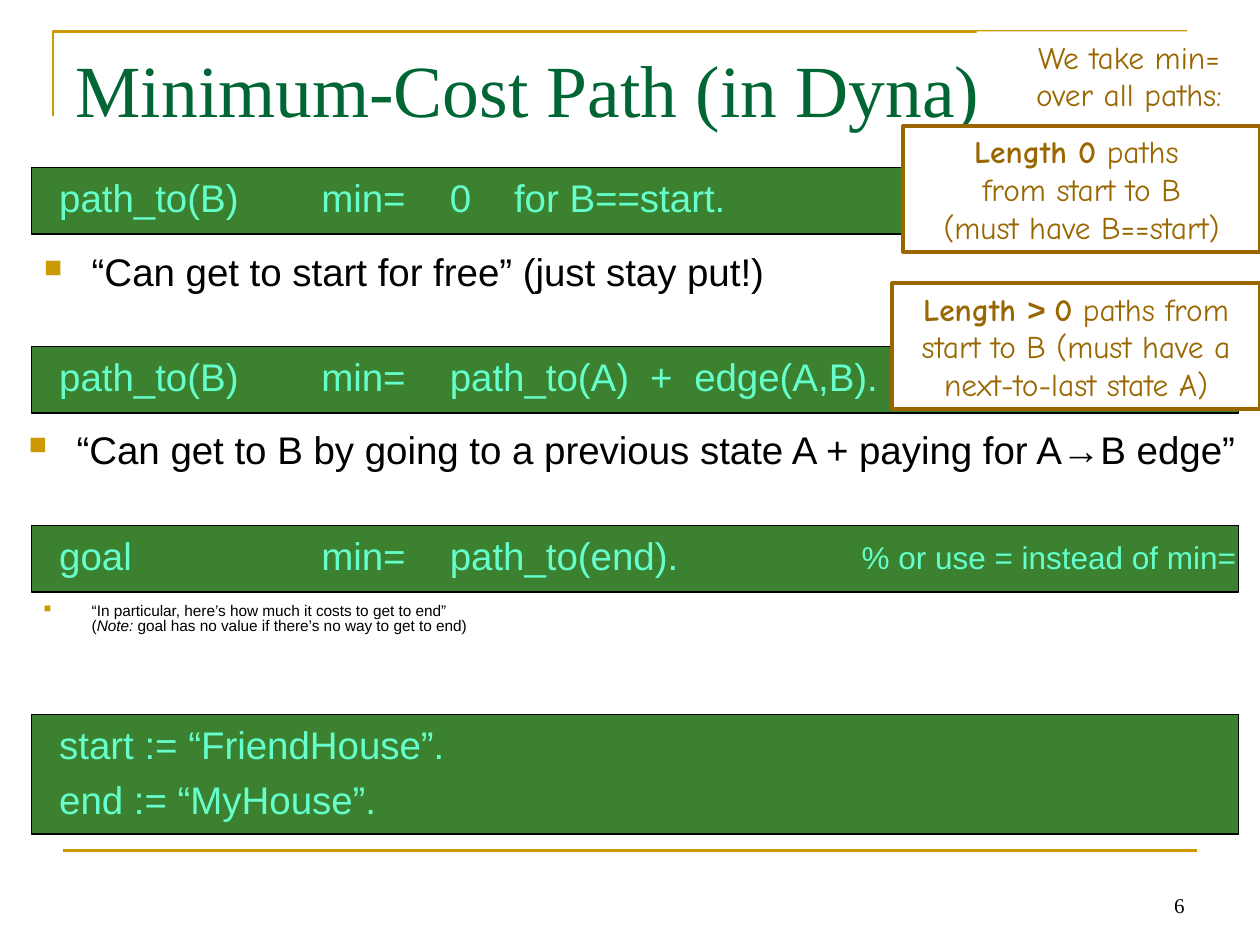
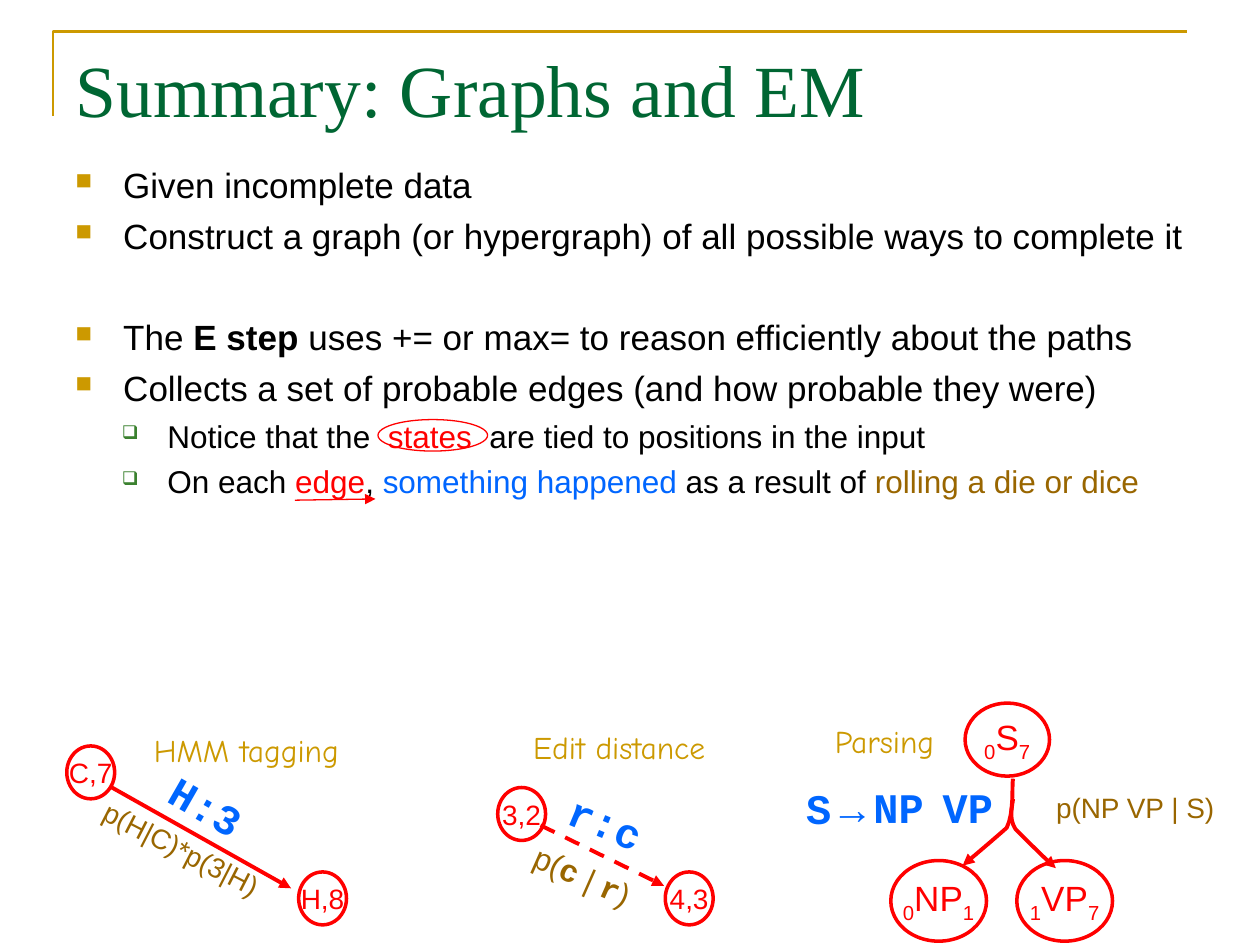
import pptx
import pptx.dml.color
import pptx.enum.dml
import pptx.enum.shapes
import pptx.enum.text
import pptx.oxml
import pptx.oxml.ns
import pptx.util
from lxml import etree

Inches = pptx.util.Inches
Pt = pptx.util.Pt
qn = pptx.oxml.ns.qn
SHAPE = pptx.enum.shapes.MSO_SHAPE
ALIGN = pptx.enum.text.PP_ALIGN
ANCHOR = pptx.enum.text.MSO_ANCHOR

GOLD, BROWN, GREEN, MINT = "CC9900", "996600", "3B812F", "66FFCC"
RED, BLUE, BLACK, WHITE = "FF0000", "0066FF", "000000", "FFFFFF"
HAND, MONO = "Comic Neue", "Courier New"


def paint(sp, fill=None, line=None, width=1, arrow=False, dash=False):
    if hasattr(sp, "fill"):
        sp.shadow.inherit = False
        if fill:
            sp.fill.solid()
            sp.fill.fore_color.rgb = pptx.dml.color.RGBColor.from_string(fill)
        else:
            sp.fill.background()
    else:
        etree.SubElement(sp._element.spPr, qn("a:effectLst"))
    if not line:
        sp.line.fill.background()
        return sp
    sp.line.color.rgb = pptx.dml.color.RGBColor.from_string(line)
    sp.line.width = Pt(width)
    if dash:
        sp.line.dash_style = pptx.enum.dml.MSO_LINE.DASH
    if arrow:
        etree.SubElement(sp.line._get_or_add_ln(), qn("a:tailEnd"), type="triangle")
    return sp


def write(sp, text, size=18, font="Arial", color=BLACK, bold=False, align=ALIGN.LEFT,
          anchor=ANCHOR.TOP, left=0.1, wrap=True, before=0, spacing=None,
          bullet=None, indent=(0.38, -0.38), tabs=()):
    tf = sp.text_frame
    tf.word_wrap = wrap
    tf.vertical_anchor = anchor
    tf.margin_left, tf.margin_right = Inches(left), Inches(min(left, 0.1))
    tf.margin_top = tf.margin_bottom = Inches(0.05)
    first = not tf.text
    p = tf.paragraphs[0] if first else tf.add_paragraph()
    p.alignment = align
    p.space_before = Pt(0 if first else before)
    if spacing:
        p.line_spacing = spacing
    pPr = p._p.get_or_add_pPr()
    if bullet:
        char, tint, percent = bullet
        pPr.set("marL", str(Inches(indent[0])))
        pPr.set("indent", str(Inches(indent[1])))
        etree.SubElement(etree.SubElement(pPr, qn("a:buClr")), qn("a:srgbClr"), val=tint)
        etree.SubElement(pPr, qn("a:buSzPct"), val=str(percent * 1000))
        etree.SubElement(pPr, qn("a:buChar"), char=char)
    if tabs:
        stops = etree.SubElement(pPr, qn("a:tabLst"))
        for stop in tabs:
            etree.SubElement(stops, qn("a:tab"), pos=str(Inches(stop)), algn="l")
    for words, extra in [(text, {})] if isinstance(text, str) else text:
        for i, part in enumerate(words.split("\n")):
            if i:
                p.add_line_break()
            r = p.add_run()
            r.text = part
            r.font.size = Pt(extra.get("size", size))
            r.font.name = extra.get("font", font)
            r.font.bold = extra.get("bold", bold)
            r.font.italic = extra.get("italic", False)
            r.font.color.rgb = pptx.dml.color.RGBColor.from_string(extra.get("color", color))
            for name in ("baseline", "spc"):
                if name in extra:
                    r._r.get_or_add_rPr().set(name, str(extra[name]))
    return sp


prs = pptx.Presentation()
prs.slide_width, prs.slide_height = Inches(10), Inches(7.5)
straight = pptx.enum.shapes.MSO_CONNECTOR.STRAIGHT
square = ("■", GOLD, 65)
hollow = ("❑", GREEN, 60)

for title in ("Minimum-Cost Path (in Dyna)", "Summary: Graphs and EM"):
    s = prs.slides.add_slide(prs.slide_layouts[5])
    t = s.shapes.title
    t.left, t.top, t.width, t.height = [Inches(v) for v in (0.5, 0.3, 9, 1.25)]
    write(t, title, size=42, font="Times New Roman", color="006633")
    corner = s.shapes.build_freeform(Inches(0.42), Inches(0.92), 1.0)
    corner.add_line_segments([(Inches(0.42), Inches(0.25)), (Inches(9.42), Inches(0.25))], close=False)
    paint(corner.convert_to_shape(), line=GOLD, width=1.5)

s = prs.slides[0]
paint(s.shapes.add_connector(straight, Inches(0.5), Inches(6.75), Inches(9.5), Inches(6.75)),
      line=GOLD, width=1.5)

rules = [
    (1.33, 0.53, ["path_to(B)\tmin=\t0\tfor B==start."], (2.08, 3.1, 3.61)),
    (2.75, 0.53, ["path_to(B)\tmin=\tpath_to(A)\t+\tedge(A,B)."], (2.08, 3.1, 4.69, 5.04)),
    (4.17, 0.53, ["goal\tmin=\tpath_to(end)."], (2.08, 3.1)),
    (5.67, 0.95, ["start := “FriendHouse”.", "end := “MyHouse”."], ()),
]
for y, h, lines, tabs in rules:
    sp = s.shapes.add_shape(SHAPE.RECTANGLE, Inches(0.25), Inches(y), Inches(9.58), Inches(h))
    paint(sp, GREEN, BLACK)
    for line in lines:
        write(sp, line, size=22, color=MINT, left=0.22, before=5.5, tabs=tabs)

notes = [
    (0.25, 1.92, 22, None, "“Can get to start for free” (just stay put!)"),
    (0.13, 3.33, 22, None, "“Can get to B by going to a previous state A + paying for A→B edge”"),
    (0.25, 4.75, 8.8, 0.8, [("“In particular, here’s how much it costs to get to end”\n(", {}),
                            ("Note: ", {"italic": True}),
                            ("goal has no value if there’s no way to get to end)", {})]),
]
for x, y, size, spacing, text in notes:
    sp = s.shapes.add_textbox(Inches(x), Inches(y), Inches(9.87), Inches(0.6))
    write(sp, text, size=size, spacing=spacing, bullet=square)

sp = s.shapes.add_textbox(Inches(6.74), Inches(4.22), Inches(3.17), Inches(0.4))
write(sp, "% or use = instead of min=", color=MINT, align=ALIGN.CENTER, left=0, wrap=False)
sp = s.shapes.add_textbox(Inches(7.17), Inches(6.83), Inches(2.33), Inches(0.5))
write(sp, "6", size=12, font="Times New Roman", align=ALIGN.RIGHT, anchor=ANCHOR.BOTTOM)

strong = {"bold": True}
callouts = [
    (7.17, 1, 2.83, 1, BROWN, [("Length 0", strong),
                               (" paths \nfrom start to B\n(must have B==start)", {})]),
    (7.08, 2.25, 2.92, 1, BROWN, [("Length ", strong), ("> ", {"bold": True, "font": "Arial"}),
                                  ("0", strong),
                                  (" paths from start to B (must have a next-to-last state A)", {})]),
    (7.75, 0.25, 2.42, 0.7, None, "We take min=\nover all paths:"),
]
for x, y, w, h, line, text in callouts:
    sp = s.shapes.add_shape(SHAPE.RECTANGLE, Inches(x), Inches(y), Inches(w), Inches(h))
    paint(sp, WHITE, line, 2.25)
    write(sp, text, font=HAND, color=BROWN, align=ALIGN.CENTER)

s = prs.slides[1]
body = s.shapes.add_textbox(Inches(0.5), Inches(1.25), Inches(9.2), Inches(3))
points = [
    (5, "Given incomplete data"),
    (5, "Construct a graph (or hypergraph) of all possible ways to complete it"),
    (34, [("The ", {}), ("E step", strong),
          (" uses += or max= to reason efficiently about the paths", {})]),
    (5, "Collects a set of probable edges (and how probable they were)"),
]
for before, text in points:
    write(body, text, size=20, before=before, bullet=square)
red = {"color": RED}
wide = {"spc": 500}
details = [
    [("Notice that the", {}), (" ", wide), ("states", red), (" ", wide),
     ("are tied to positions in the input", {})],
    [("On each ", {}), ("edge", red), (", ", {}), ("something happened", {"color": BLUE}),
     (" as a result of ", {}), ("rolling a die or dice", {"color": BROWN})],
]
for text in details:
    write(body, text, before=4.5, bullet=hollow, indent=(0.73, -0.36))

paint(s.shapes.add_shape(SHAPE.OVAL, Inches(3), Inches(3.33), Inches(0.87), Inches(0.25)),
      line=RED, width=0.75)
arrows = [
    (2.34, 3.97, 2.98, 3.96, 0.75, False),
    (0.87, 6.24, 2.31, 7.05, 2.25, False),
    (4.29, 6.55, 5.27, 7.03, 2.25, True),
]
for x1, y1, x2, y2, width, dash in arrows:
    c = s.shapes.add_connector(straight, Inches(x1), Inches(y1), Inches(x2), Inches(y2))
    paint(c, line=RED, width=width, arrow=True, dash=dash)

branches = [
    [(8.04, 6.34), (8.04, 6.38), (8, 6.49), (8.06, 6.58), (8.15, 6.67), (8.31, 6.83), (8.38, 6.89)],
    [(8.04, 6.18), (8.03, 6.24), (8.05, 6.45), (7.99, 6.57), (7.89, 6.66), (7.71, 6.81), (7.64, 6.87)],
]
for pts in branches:
    curve = []
    for i in (0, 3):
        for step in range(1, 9):
            u = step / 8
            weights = ((1 - u) ** 3, 3 * u * (1 - u) ** 2, 3 * u * u * (1 - u), u ** 3)
            curve.append([Inches(sum(k * q[axis] for k, q in zip(weights, pts[i:i + 4])))
                          for axis in (0, 1)])
    branch = s.shapes.build_freeform(Inches(pts[0][0]), Inches(pts[0][1]), 1.0)
    branch.add_line_segments(curve, close=False)
    paint(branch.convert_to_shape(), line=RED, width=2.25, arrow=True)

sub = {"baseline": -25000}
nodes = [
    (0.53, 5.92, 0.38, 0.42, 16, "C,7"),
    (2.37, 6.92, 0.38, 0.42, 16, "H,8"),
    (3.95, 6.25, 0.38, 0.42, 16, "3,2"),
    (5.28, 6.92, 0.38, 0.42, 16, "4,3"),
    (7.66, 5.58, 0.67, 0.58, 20, [("0", sub), ("S", {}), ("7", sub)]),
    (7.07, 6.83, 0.76, 0.64, 20, [("0", sub), ("NP", {}), ("1", sub)]),
    (8.07, 6.83, 0.76, 0.64, 20, [("1", sub), ("VP", {}), ("7", sub)]),
]
for x, y, w, h, size, text in nodes:
    sp = s.shapes.add_shape(SHAPE.OVAL, Inches(x), Inches(y), Inches(w), Inches(h))
    paint(sp, line=RED, width=2)
    write(sp, text, size=size, color=RED, align=ALIGN.CENTER, anchor=ANCHOR.MIDDLE, wrap=False)

mono = {"font": MONO, "bold": True}
labels = [
    (1.12, 5.75, 1.67, 0.4, 0, "HMM tagging", 18, HAND, GOLD, False),
    (4.13, 5.73, 1.57, 0.4, 0, "Edit distance", 18, HAND, GOLD, False),
    (6.52, 5.68, 1, 0.4, 0, "Parsing", 18, HAND, GOLD, False),
    (1.24, 6.17, 0.8, 0.45, 29.8, "H:3", 24, MONO, BLUE, True),
    (4.41, 6.3, 0.8, 0.45, 22.6, "r:c", 24, MONO, BLUE, True),
    (6.24, 6.18, 1.8, 0.45, 359.8,
     [("S", {}), ("→", {"font": "Arial"}), ("NP", {}), (" ", {"size": 18}), ("VP", {})],
     24, MONO, BLUE, True),
    (0.67, 6.55, 1.54, 0.37, 27.2, "p(H|C)*p(3|H)", 16, "Arial", BROWN, False),
    (4.12, 6.75, 1.01, 0.4, 23.9, [("p(", {}), ("c", mono), (" | ", {}), ("r", mono), (")", {})],
     18, "Arial", BROWN, False),
    (8.28, 6.22, 1.46, 0.37, 0, "p(NP VP | S)", 16, "Arial", BROWN, False),
]
for x, y, w, h, angle, text, size, font, color, bold in labels:
    sp = s.shapes.add_textbox(Inches(x), Inches(y), Inches(w), Inches(h))
    sp.rotation = angle
    write(sp, text, size=size, font=font, color=color, bold=bold, align=ALIGN.CENTER,
          anchor=ANCHOR.MIDDLE, left=0, wrap=False)

prs.save("out.pptx")
